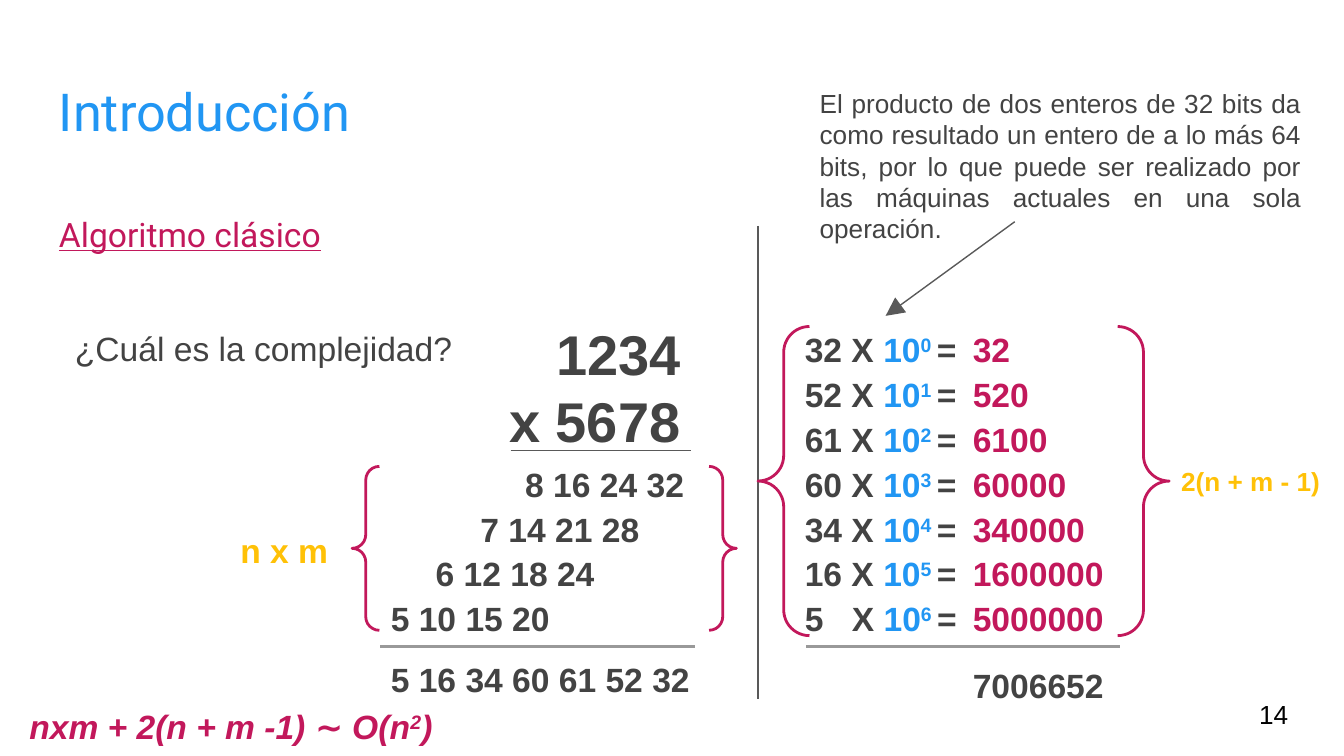
from lxml import etree
from pptx import Presentation
from pptx.dml.color import RGBColor
from pptx.enum import shapes, text
from pptx.oxml import ns
from pptx.util import Inches, Pt

BLUE = RGBColor(0x21, 0x96, 0xF3)
PINK = RGBColor(0xC2, 0x18, 0x5B)
AMBER = RGBColor(0xFF, 0xC1, 0x07)
DARK = RGBColor(0x43, 0x43, 0x43)
GRAY = RGBColor(0x59, 0x59, 0x59)
LIGHT_GRAY = RGBColor(0x99, 0x99, 0x99)
BLACK = RGBColor(0, 0, 0)

ROW_TOP, ROW_PITCH, ROW_HEIGHT = 2.35, 1 / 3, 0.49

deck = Presentation()
deck.slide_width = Inches(10)
deck.slide_height = Inches(10 * 9 / 16)
page = deck.slides.add_slide(deck.slide_layouts[6])


def add_text(left, top, width, height, lines, size=18, color=DARK, bold=True, font="Arial"):
    """Add a text box; each line is a list of (text, color or None, is superscript)
    spans or a plain string. Returns its text frame."""
    frame = page.shapes.add_textbox(
        Inches(left), Inches(top), Inches(width), Inches(height)).text_frame
    frame.word_wrap = True
    frame.margin_left = frame.margin_right = Inches(0.1)
    frame.margin_top = frame.margin_bottom = Inches(0.1)
    for index, line in enumerate(lines):
        para = frame.add_paragraph() if index else frame.paragraphs[0]
        para.font.size, para.font.name = Pt(size), font
        para.font.bold = bold
        para.font.color.rgb = color
        for words, span_color, raised in [(line, None, False)] if isinstance(line, str) else line:
            span = para.add_run()
            span.text = words
            span.font.size, span.font.name = Pt(size), font
            span.font.bold = bold
            span.font.color.rgb = span_color or color
            if raised:
                span.font._element.set("baseline", "30000")
    return frame


def add_line(x1, y1, x2, y2, color, width):
    line = page.shapes.add_connector(
        shapes.MSO_CONNECTOR.STRAIGHT, Inches(x1), Inches(y1), Inches(x2), Inches(y2))
    line.line.color.rgb = color
    line.line.width = Pt(width)
    etree.SubElement(line._element.spPr, ns.qn("a:effectLst"))
    return line


# Headings
add_text(0.34, 0.49, 9.32, 0.63, ["Introducción"], 28, BLUE, False, "Roboto")
subtitle = add_text(0.34, 1.49, 9.32, 0.63, ["Algoritmo clásico"], 18, PINK, False, "Roboto")
subtitle.paragraphs[0].runs[0].font.underline = True

# Long multiplication
factors = add_text(3.69, 2.28, 6.6, 0.77, ["1234", "x 5678"], 30)
factors.paragraphs[0]._p.get_or_add_pPr().set("marL", str(Inches(0.35)))
add_line(3.8, 3.35, 5.14, 3.35, GRAY, 0.75)
for index, products in enumerate(["8 16 24 32", "7 14 21 28", "6 12 18 24", "5 10 15 20"]):
    add_text(3.81 - index * ROW_PITCH, 3.35 + index * ROW_PITCH, 1.4, ROW_HEIGHT, [products])
add_line(2.83, 4.81, 5.17, 4.81, LIGHT_GRAY, 1.5)
add_text(2.81, 4.8, 2.46, ROW_HEIGHT, ["5 16 34 60 61 52 32"])

# Column sums times powers of ten
add_line(5.64, 1.68, 5.64, 5.2, GRAY, 0.75)
for power, column_sum in enumerate([32, 52, 61, 60, 34, 16, 5]):
    top = ROW_TOP + power * ROW_PITCH
    gap = " " if column_sum > 9 else "\t"
    term = [(f"{column_sum}{gap}X ", None, False), ("10", BLUE, False),
            (f"{power} ", BLUE, True), ("=", None, False)]
    equation = add_text(5.89, top, 1.4, ROW_HEIGHT, [term])
    if gap == "\t":
        # The schema wants tab stops ahead of the default run properties
        tabs = etree.Element(ns.qn("a:tabLst"))
        etree.SubElement(tabs, ns.qn("a:tab"), pos=str(Inches(0.35)), algn="l")
        equation.paragraphs[0]._p.get_or_add_pPr().insert(0, tabs)
    add_text(7.14, top, 1.4, ROW_HEIGHT, [str(column_sum * 10 ** power)], color=PINK)
add_line(6, 4.81, 8.33, 4.81, LIGHT_GRAY, 1.5)
add_text(7.14, 4.85, 1.4, ROW_HEIGHT, ["7006652"])

# Braces with operation counts
add_text(0.46, 2.34, 3.23, 0.77, ["¿Cuál es la complejidad?"], bold=False)
for left, top, width, height in [(2.62, 3.47, 2.86, 1.22), (5.64, 2.43, 3.06, 2.3)]:
    brace = page.shapes.add_shape(
        shapes.MSO_SHAPE.DOUBLE_BRACE, Inches(left), Inches(top), Inches(width), Inches(height))
    brace.shadow.inherit = False
    brace.fill.background()
    brace.line.color.rgb = PINK
    brace.line.width = Pt(1.5)
add_text(1.69, 3.84, 1.04, ROW_HEIGHT, ["n x m"], color=AMBER)
add_text(8.69, 3.36, 1.24, ROW_HEIGHT, ["2(n + m - 1)"], 14, AMBER)

# Note on machine arithmetic
arrow = add_line(7.55, 1.65, 6.59, 2.35, GRAY, 0.75)
etree.SubElement(arrow.line._get_or_add_ln(), ns.qn("a:tailEnd"),
                 type="triangle", w="lg", len="lg")
note = add_text(6, 0.55, 3.78, 0.77, [
    "El producto de dos enteros de 32 bits da como resultado un entero de a lo más 64 bits, "
    "por lo que puede ser realizado por las máquinas actuales en una sola operación."],
    14, bold=False)
note.paragraphs[0].alignment = text.PP_ALIGN.JUSTIFY

# Total complexity and page number
complexity = add_text(0.12, 5.15, 3.49, ROW_HEIGHT, [
    [("nxm + 2(n + m -1) ∼ O(n", None, False), ("2", None, True), (")", None, False)]], color=PINK)
for span in complexity.paragraphs[0].runs:
    span.font.italic = True
number = add_text(9.27, 5.1, 0.6, 0.43, ["14"], 14, BLACK, False)
number.vertical_anchor = text.MSO_ANCHOR.MIDDLE

deck.save("out.pptx")
